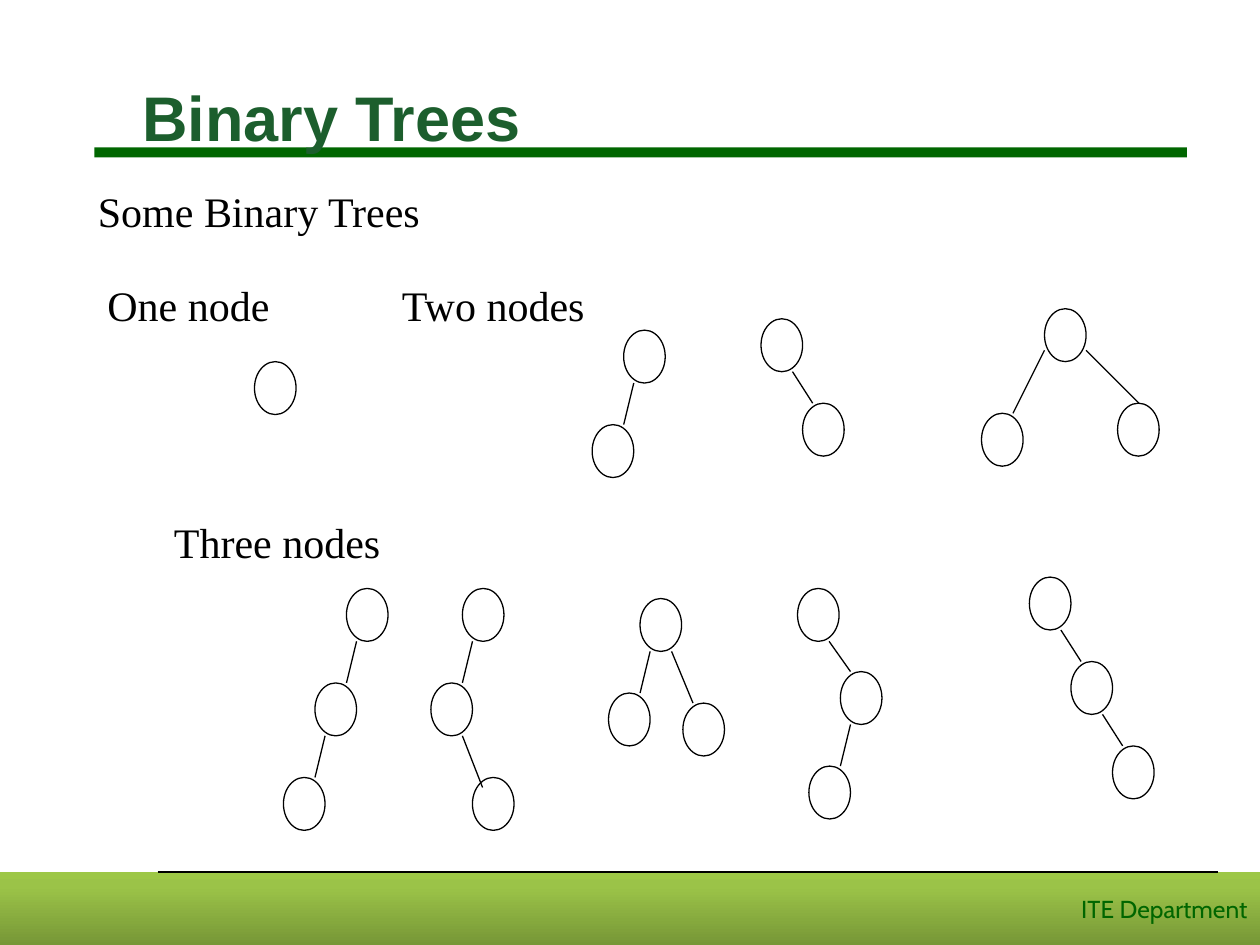
from dataclasses import dataclass

from lxml import etree
from pptx import Presentation
from pptx.dml.color import RGBColor
from pptx.enum import shapes, text
from pptx.oxml import ns
from pptx.util import Inches, Pt

Point = tuple[float, float]


@dataclass(frozen=True)
class Theme:
    title: str = "1C5E2D"
    accent: str = "006600"
    ink: str = "000000"
    paper: str = "FFFFFF"
    footer_stops: tuple = ((0, "779737"), (80, "9BC348"), (100, "9DC746"))
    title_size: int = 36
    label_size: int = 24
    footer_size: int = 14
    line_width: float = 0.75
    node_width: float = 0.33
    node_height: float = 0.42


@dataclass(frozen=True)
class Edge:
    """Joins two nodes; start and end are offsets from each node's corner."""
    parent: int
    child: int
    start: Point
    end: Point


@dataclass(frozen=True)
class Tree:
    nodes: tuple[Point, ...]
    edges: tuple[Edge, ...] = ()


@dataclass(frozen=True)
class Label:
    words: str
    left: float
    top: float
    width: float


THEME = Theme()


def left_edge(parent: int, child: int, start: Point = (0.08, 0.42)) -> Edge:
    return Edge(parent, child, start, (0.25, 0))


def right_edge(parent: int, child: int, start: Point = (0.25, 0.42),
               end: Point = (0.08, 0)) -> Edge:
    return Edge(parent, child, start, end)


LABELS = (
    Label("Some Binary Trees", 0.67, 1.42, 2.77),
    Label("One node", 0.75, 2.17, 1.49),
    Label("Two nodes", 3.08, 2.17, 1.67),
    Label("Three nodes", 1.28, 4.05, 1.84),
)

TREES = (
    Tree(((2.02, 2.87),)),
    Tree(((4.95, 2.62), (4.7, 3.37)), (left_edge(0, 1),)),
    Tree(((6.04, 2.53), (6.37, 3.2)), (right_edge(0, 1),)),
    Tree(((8.29, 2.45), (7.79, 3.28), (8.87, 3.2)),
         (left_edge(0, 1, start=(0, 0.33)),
          right_edge(0, 2, start=(0.33, 0.33), end=(0.17, 0)))),
    Tree(((2.75, 4.67), (2.5, 5.42), (2.25, 6.17)),
         (left_edge(0, 1), left_edge(1, 2))),
    Tree(((3.67, 4.67), (3.42, 5.42), (3.75, 6.17)),
         (left_edge(0, 1), right_edge(1, 2, end=(0.08, 0.08)))),
    Tree(((5.08, 4.75), (4.83, 5.5), (5.42, 5.58)),
         (left_edge(0, 1), right_edge(0, 2))),
    Tree(((6.33, 4.67), (6.67, 5.33), (6.42, 6.08)),
         (right_edge(0, 1), left_edge(1, 2))),
    Tree(((8.17, 4.58), (8.5, 5.25), (8.83, 5.92)),
         (right_edge(0, 1), right_edge(1, 2))),
)


def write(shape, words: str, *, font: str, size: int, color: str,
          align=text.PP_ALIGN.LEFT, bold: bool = False, wrap: bool = True):
    frame = shape.text_frame
    frame.word_wrap = wrap
    frame.vertical_anchor = text.MSO_ANCHOR.MIDDLE
    para = frame.paragraphs[0]
    para.alignment = align
    span = para.add_run()
    span.text = words
    span.font.name = font
    span.font.size = Pt(size)
    span.font.bold = bold
    span.font.color.rgb = RGBColor.from_string(color)


def add_block(page, kind, left: float, top: float, width: float, height: float,
              fill: str, outline: str | None = None):
    block = page.shapes.add_shape(
        kind, Inches(left), Inches(top), Inches(width), Inches(height))
    block.shadow.inherit = False
    block.fill.solid()
    block.fill.fore_color.rgb = RGBColor.from_string(fill)
    if outline:
        block.line.color.rgb = RGBColor.from_string(outline)
        block.line.width = Pt(THEME.line_width)
    else:
        block.line.fill.background()
    return block


def add_line(page, start: Point, end: Point):
    line = page.shapes.add_connector(
        shapes.MSO_CONNECTOR.STRAIGHT, *map(Inches, start + end))
    line.line.color.rgb = RGBColor.from_string(THEME.ink)
    line.line.width = Pt(THEME.line_width)
    etree.SubElement(line._element.spPr, ns.qn("a:effectLst"))


def shade_upward(shape, stops):
    """Fill with a gradient running from the bottom edge to the top."""
    shape.fill.gradient()
    shape.fill.gradient_angle = 90
    stop_list = shape._element.spPr.find(".//" + ns.qn("a:gsLst"))
    for old in list(stop_list):
        stop_list.remove(old)
    for percent, color in stops:
        stop = etree.SubElement(stop_list, ns.qn("a:gs"), pos=str(percent * 1000))
        etree.SubElement(stop, ns.qn("a:srgbClr"), val=color)


def add_frame(page):
    rectangle = shapes.MSO_SHAPE.RECTANGLE
    footer = add_block(page, rectangle, 0, 6.92, 10, 0.58, THEME.accent)
    shade_upward(footer, THEME.footer_stops)
    write(footer, "ITE Department", font="Cabin", size=THEME.footer_size,
          color=THEME.accent, align=text.PP_ALIGN.RIGHT)
    add_line(page, (1.25, 6.92), (9.67, 6.92))
    add_block(page, rectangle, 0.75, 1.17, 8.67, 0.08, THEME.accent)


def add_title(page, words: str):
    title = page.shapes.title
    title.left, title.top = Inches(0.5), Inches(0.3)
    title.width, title.height = Inches(9), Inches(1.25)
    title.text_frame.margin_left = Inches(0.63)
    title.text_frame.auto_size = text.MSO_AUTO_SIZE.NONE
    write(title, words, font="Arial", size=THEME.title_size,
          color=THEME.title, bold=True)
    page.shapes._spTree.append(title._element)  # in front of the rule


def add_label(page, label: Label):
    box = page.shapes.add_textbox(
        Inches(label.left), Inches(label.top), Inches(label.width), Inches(0.5))
    write(box, label.words, font="Times New Roman", size=THEME.label_size,
          color=THEME.ink, align=text.PP_ALIGN.CENTER, wrap=False)
    box.text_frame.auto_size = text.MSO_AUTO_SIZE.SHAPE_TO_FIT_TEXT


def shift(corner: Point, offset: Point) -> Point:
    return corner[0] + offset[0], corner[1] + offset[1]


def add_tree(page, tree: Tree):
    for left, top in tree.nodes:
        add_block(page, shapes.MSO_SHAPE.OVAL, left, top, THEME.node_width,
                  THEME.node_height, THEME.paper, THEME.ink)
    for edge in tree.edges:
        add_line(page, shift(tree.nodes[edge.parent], edge.start),
                 shift(tree.nodes[edge.child], edge.end))


def main():
    deck = Presentation()
    deck.slide_width, deck.slide_height = Inches(10), Inches(7.5)
    page = deck.slides.add_slide(deck.slide_layouts[5])
    add_frame(page)
    add_title(page, "Binary Trees")
    for label in LABELS:
        add_label(page, label)
    for tree in TREES:
        add_tree(page, tree)
    deck.save("out.pptx")


if __name__ == "__main__":
    main()
